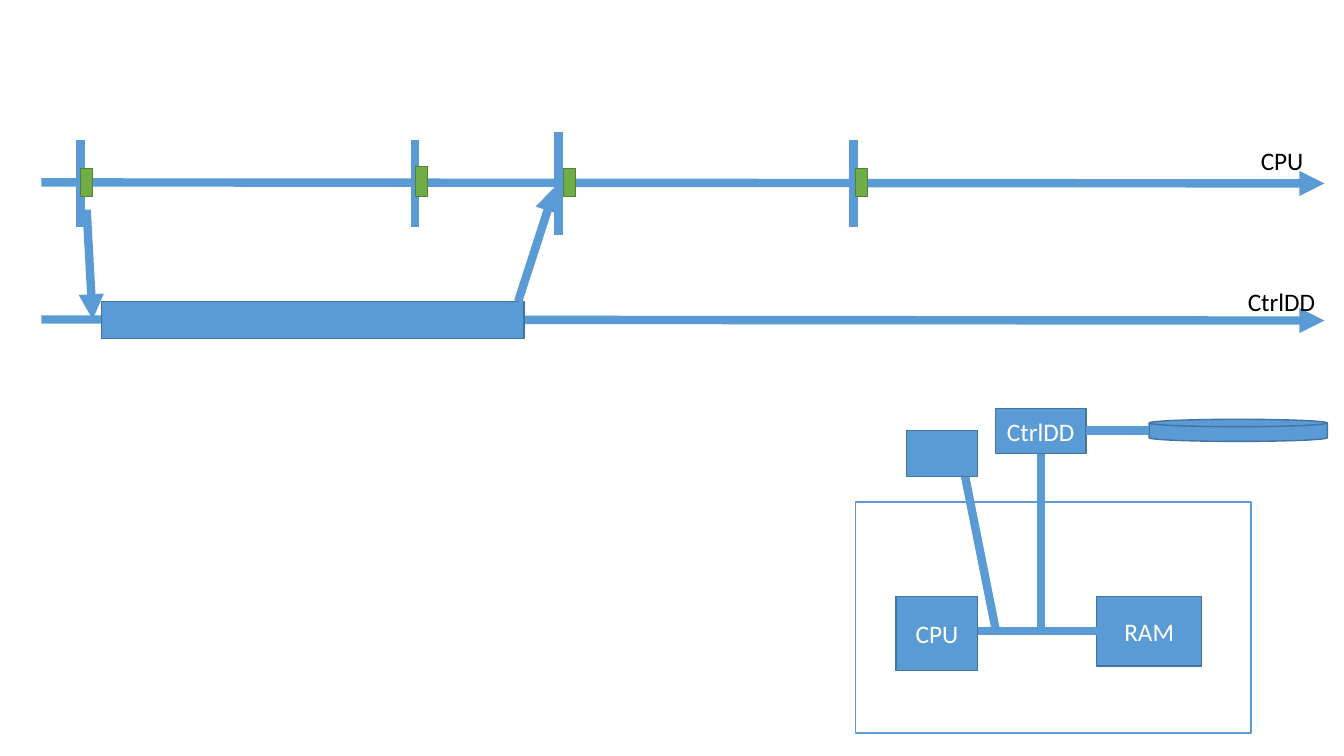
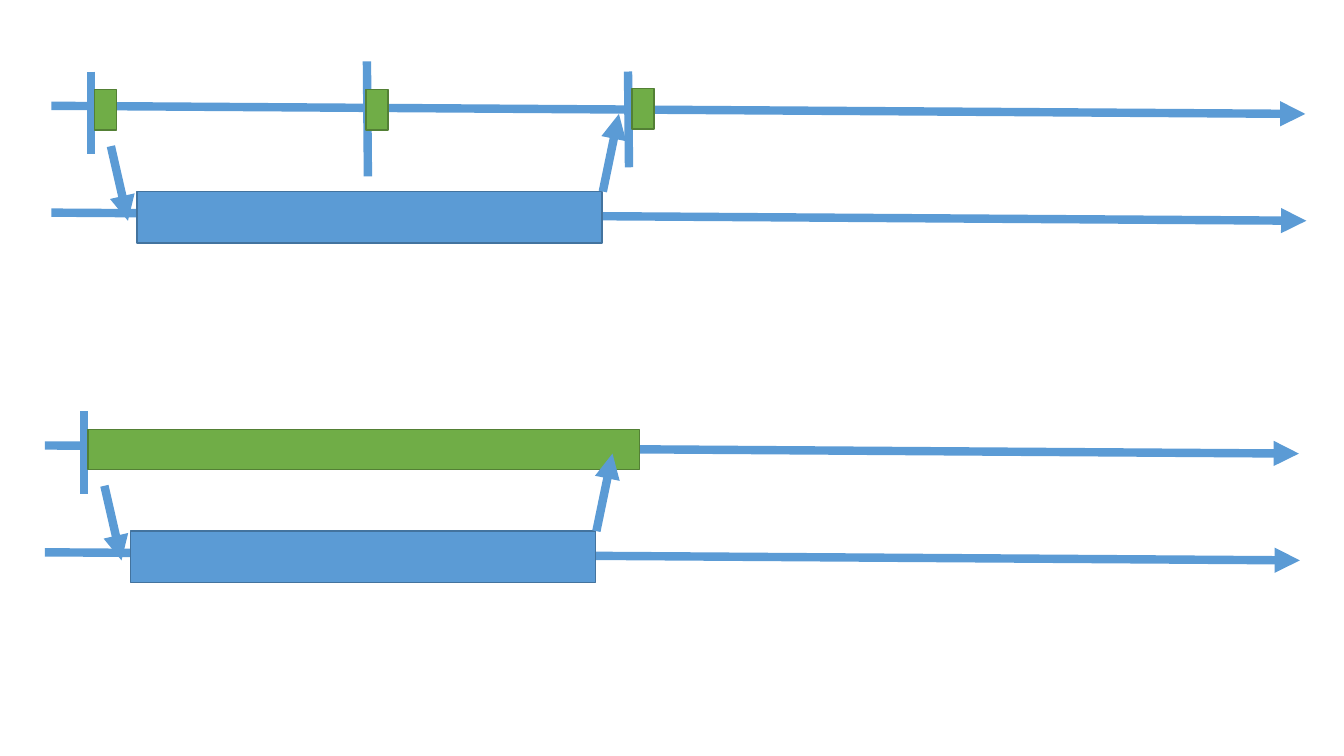
import lxml.etree
import pptx
import pptx.dml.color
import pptx.enum.shapes
import pptx.enum.text
import pptx.oxml.ns
import pptx.util

Pt = pptx.util.Pt
RGBColor = pptx.dml.color.RGBColor
MSO_SHAPE = pptx.enum.shapes.MSO_SHAPE
PP_ALIGN = pptx.enum.text.PP_ALIGN
qn = pptx.oxml.ns.qn

BLUE = RGBColor(0x5B, 0x9B, 0xD5)
BLUE_EDGE = RGBColor(0x43, 0x73, 0x9E)
GREEN = RGBColor(0x70, 0xAD, 0x47)
GREEN_EDGE = RGBColor(0x53, 0x80, 0x35)
WHITE = RGBColor(0xFF, 0xFF, 0xFF)
BLACK = RGBColor(0x00, 0x00, 0x00)
FONT = "Calibri"
BLANK_LAYOUT = 6


def write_text(sp, text, size=18, color=BLACK, align=PP_ALIGN.LEFT):
    """Write one formatted run into a shape."""
    p = sp.text_frame.paragraphs[0]
    p.alignment = align
    r = p.add_run()
    r.text = text
    r.font.name = FONT
    r.font.size = Pt(size)
    r.font.color.rgb = color


def add_line(s, x1, y1, x2, y2, arrow=False):
    """Draw a thick straight line, with an arrowhead at its end if asked."""
    line = s.shapes.add_connector(pptx.enum.shapes.MSO_CONNECTOR.STRAIGHT,
                                  Pt(x1), Pt(y1), Pt(x2), Pt(y2))
    line.line.color.rgb = BLUE
    line.line.width = Pt(6)
    sp_pr = line.element.spPr
    if arrow:
        lxml.etree.SubElement(sp_pr.find(qn("a:ln")), qn("a:tailEnd"),
                              type="triangle")
    lxml.etree.SubElement(sp_pr, qn("a:effectLst"))


def add_box(s, x, y, w, h, text="", fill=BLUE, edge=BLUE_EDGE,
            kind=MSO_SHAPE.RECTANGLE):
    """Draw an outlined shape with an optional white centred label."""
    sp = s.shapes.add_shape(kind, Pt(x), Pt(y), Pt(w), Pt(h))
    sp.shadow.inherit = False
    sp.fill.solid()
    sp.fill.fore_color.rgb = fill
    sp.line.color.rgb = edge
    sp.line.width = Pt(1)
    if text:
        tf = sp.text_frame
        tf.word_wrap = True
        tf.vertical_anchor = pptx.enum.text.MSO_ANCHOR.MIDDLE
        write_text(sp, text, color=WHITE, align=PP_ALIGN.CENTER)


def add_busy(s, x, y, w, h):
    """Draw a green period of processor work."""
    add_box(s, x, y, w, h, fill=GREEN, edge=GREEN_EDGE)


def add_label(s, x, y, w, h, text):
    """Add an unwrapped label that fits its text."""
    sp = s.shapes.add_textbox(Pt(x), Pt(y), Pt(w), Pt(h))
    sp.text_frame.word_wrap = False
    sp.text_frame.auto_size = pptx.enum.text.MSO_AUTO_SIZE.SHAPE_TO_FIT_TEXT
    write_text(sp, text)


def add_machine(s):
    """Draw the computer with its bus, controllers and disk."""
    add_box(s, 611.3, 358.6, 282.2, 164.9, fill=WHITE, edge=BLUE)
    add_box(s, 640.1, 426.2, 58.3, 52.6, "CPU")
    add_box(s, 783.4, 426.2, 74.9, 49.7, "RAM")
    bus_y = 450.7
    add_line(s, 698.4, bus_y, 783.4, bus_y)
    add_line(s, 743.8, bus_y, 743.8, 324.4)
    add_box(s, 711, 291.6, 64.8, 32.4, "CtrlDD")
    add_box(s, 820.8, 299.5, 127.4, 15.8, kind=MSO_SHAPE.FLOWCHART_MAGNETIC_DISK)
    add_line(s, 775.4, 307.4, 820.8, 307.4)
    add_line(s, 711.4, bus_y, 689, 338.4)
    add_box(s, 647.3, 307.4, 51.1, 33.1)


def add_interrupt_slide(prs):
    """Build the slide with labelled time axes and the machine."""
    s = prs.slides.add_slide(prs.slide_layouts[BLANK_LAYOUT])
    add_line(s, 29.5, 130.3, 946.1, 131, arrow=True)
    events = [  # tick x, top, bottom; busy x, top, height
        (57.6, 100.1, 162, 57.6, 120.2, 20.2),
        (296.6, 100.1, 162, 296.6, 118.8, 21.6),
        (609.8, 100.1, 162, 611.3, 120.2, 20.2),
        (398.9, 94.3, 167.8, 402.5, 120.2, 20.2),
    ]
    add_line(s, 29.5, 228.2, 946.1, 229, arrow=True)
    add_line(s, 61.9, 149.8, 66.2, 228.2, arrow=True)
    add_box(s, 72.7, 215.3, 301.7, 26.6)
    add_line(s, 370.1, 215.3, 396.7, 133.2, arrow=True)
    for x, top, bottom, busy_x, busy_y, busy_h in events:
        add_line(s, x, top, x, bottom)
        add_busy(s, busy_x, busy_y, 8.6, busy_h)
    add_label(s, 893.5, 100.1, 45.4, 28.8, "CPU")
    add_label(s, 884.2, 200.9, 63.4, 28.8, "CtrlDD")
    add_machine(s)


def add_transfer(s, dx, dy, busy_w):
    """Draw a pair of time axes with one transfer, shifted by dx and dy."""
    def line(x1, y1, x2, y2, arrow=True):
        """Draw a shifted line."""
        add_line(s, x1 + dx, y1 + dy, x2 + dx, y2 + dy, arrow)

    line(36.7, 75.6, 932.4, 81.4)
    line(36.7, 151.9, 933.1, 157.7)
    line(64.8, 51.1, 64.8, 110.2, arrow=False)
    add_busy(s, 67.5 + dx, 64.1 + dy, busy_w, 28.8)
    line(79.2, 104.4, 91.4, 157.7)
    add_box(s, 98 + dx, 136.8 + dy, 332, 36.7)
    line(430.6, 136.8, 442.1, 81.4)


def add_comparison_slide(prs):
    """Build the slide comparing short work periods with one long one."""
    s = prs.slides.add_slide(prs.slide_layouts[BLANK_LAYOUT])
    short_w = 15.8
    add_transfer(s, 0, 0, short_w)
    add_line(s, 448.6, 51.1, 449.3, 119.5)
    add_busy(s, 451.4, 63.4, short_w, 28.8)
    add_line(s, 262.1, 43.9, 262.8, 126)
    add_busy(s, 261.4, 64.1, short_w, 28.8)
    add_transfer(s, -4.6, 242.6, 393.8)


def main():
    """Build and save the presentation."""
    prs = pptx.Presentation()
    prs.slide_width, prs.slide_height = Pt(960), Pt(540)
    add_interrupt_slide(prs)
    add_comparison_slide(prs)
    prs.save("out.pptx")


main()
